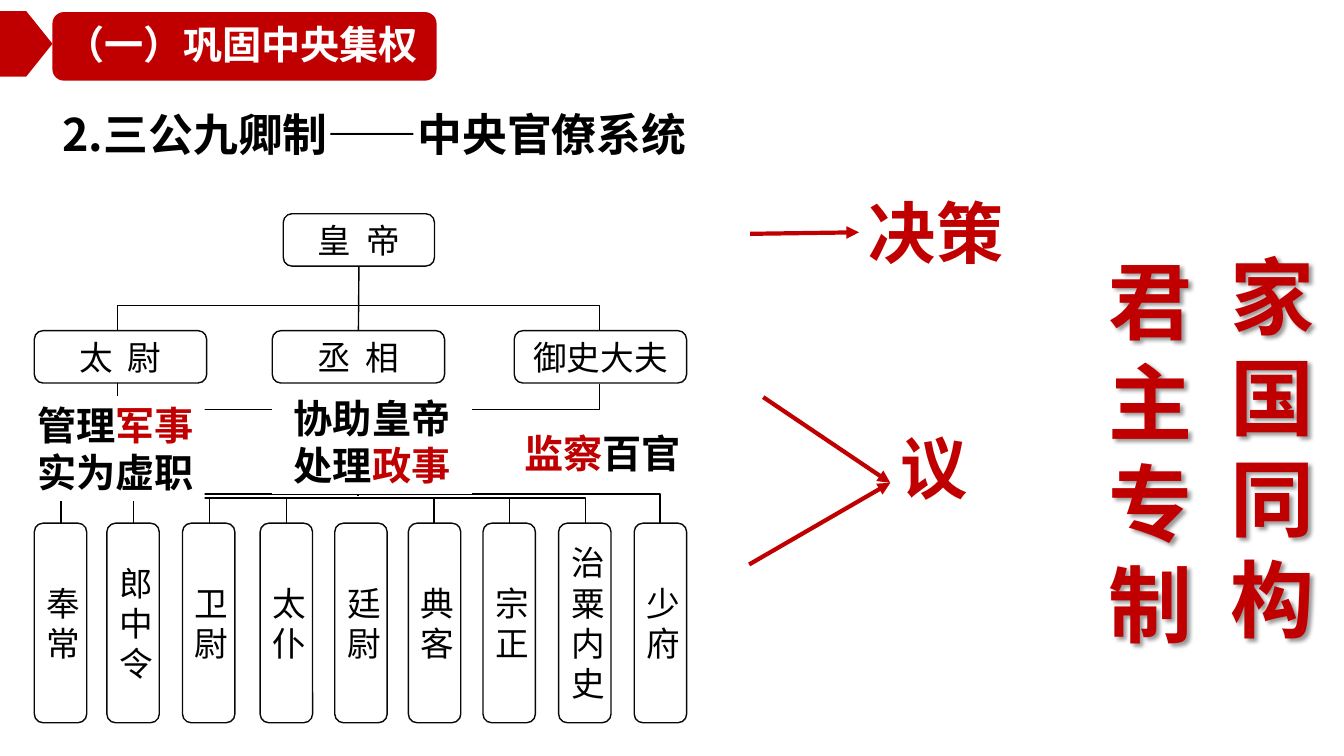
from dataclasses import dataclass

from lxml import etree
from pptx import Presentation
from pptx.dml.color import RGBColor
from pptx.enum.shapes import MSO_CONNECTOR, MSO_SHAPE
from pptx.enum.text import MSO_ANCHOR, MSO_AUTO_SIZE, PP_ALIGN
from pptx.oxml.ns import qn
from pptx.util import Pt

PX = 9144  # 100 px to the inch
FONT = "Noto Sans CJK SC"
COLORS = {"red": "C00000", "black": "000000", "white": "FFFFFF",
          "edge": "080808", "shade": "000000"}
STRAIGHT, ELBOW = MSO_CONNECTOR.STRAIGHT, MSO_CONNECTOR.ELBOW
ROUND, RECT, ARROW = MSO_SHAPE.ROUNDED_RECTANGLE, MSO_SHAPE.RECTANGLE, MSO_SHAPE.PENTAGON
LEFT, CENTER = PP_ALIGN.LEFT, PP_ALIGN.CENTER
TOP, MIDDLE = MSO_ANCHOR.TOP, MSO_ANCHOR.MIDDLE
NO_FIT = MSO_AUTO_SIZE.NONE
NORTH, WEST, SOUTH = 0, 1, 2
TURN = 60000  # one degree


@dataclass
class Box:
    text: str
    x: int
    y: int
    w: int
    h: int

    def area(self) -> list[int]:
        return [v * PX for v in (self.x, self.y, self.w, self.h)]


@dataclass
class Duty(Box):
    align: int = LEFT
    wrap: bool = False


@dataclass
class Label(Box):
    size: int = 48
    align: int = LEFT
    tall: bool = False


@dataclass
class Fork:
    """A bar at height y with a leg at each end, down or up to foot."""
    left: int
    right: int
    y: int
    foot: int
    weight: float


def tint(name: str) -> RGBColor:
    return RGBColor.from_string(COLORS[name])


def write(shape, text: str, *, size: int, color: str = "black", bold: bool = True,
          align=LEFT, anchor=TOP, wrap: bool = True) -> None:
    """Fill a shape with text; parts between asterisks turn red."""
    frame = shape.text_frame
    frame.word_wrap = wrap
    frame.auto_size = NO_FIT
    frame.vertical_anchor = anchor
    for i, row in enumerate(text.split("\n")):
        para = frame.add_paragraph() if i else frame.paragraphs[0]
        para.alignment = align
        for j, part in enumerate(row.split("*")):
            if not part:
                continue
            run = para.add_run()
            run.text = part
            font = run.font
            font.size, font.bold, font.name = Pt(size), bold, FONT
            font.color.rgb = tint("red" if j % 2 else color)
            etree.SubElement(font._element, qn("a:ea"), typeface=FONT)


def block(slide, box: Box, kind, fill: str, edge: str = ""):
    shape = slide.shapes.add_shape(kind, *box.area())
    shape.shadow.inherit = False
    shape.fill.solid()
    shape.fill.fore_color.rgb = tint(fill)
    if edge:
        shape.line.color.rgb = tint(edge)
        shape.line.width = Pt(1)
    else:
        shape.line.fill.background()
    return shape


def shade(shape) -> None:
    glow = etree.SubElement(shape._element.spPr, qn("a:effectLst"))
    drop = etree.SubElement(glow, qn("a:outerShdw"), blurRad="38100",
                            dist="25400", dir="2700000")
    hue = etree.SubElement(drop, qn("a:srgbClr"), val=COLORS["shade"])
    etree.SubElement(hue, qn("a:alpha"), val="40000")


def link(slide, start: tuple[int, int], end: tuple[int, int], color: str = "black",
         weight: float = 1, head: bool = False, kind=STRAIGHT):
    line = slide.shapes.add_connector(kind, *[v * PX for v in start + end])
    line.line.color.rgb = tint(color)
    line.line.width = Pt(weight)
    if head:
        etree.SubElement(line.line._get_or_add_ln(), qn("a:tailEnd"), type="triangle")
    etree.SubElement(line._element.spPr, qn("a:effectLst"))
    return line


def branch(slide, fork: Fork) -> None:
    """Draw a fork as a thin elbow, one px wide, turned a quarter."""
    mid, half = (fork.left + fork.right) // 2, (fork.right - fork.left) // 2
    line = link(slide, (mid, fork.foot - half), (mid + 1, fork.foot + half),
                weight=fork.weight, kind=ELBOW)
    props = line._element.spPr
    frame = props.find(qn("a:xfrm"))
    below = fork.y > fork.foot
    frame.set("rot", str((90 if below else 270) * TURN))
    if below:
        frame.set("flipV", "1")
    shape = props.find(qn("a:prstGeom"))
    guides = shape.find(qn("a:avLst"))
    if guides is None:
        guides = etree.SubElement(shape, qn("a:avLst"))
    reach = abs(fork.y - fork.foot) * 100000
    etree.SubElement(guides, qn("a:gd"), name="adj1", fmla=f"val {reach}")


KING = Box("皇  帝", 281, 212, 150, 52)
LORDS = [Box(name, x, 328, 171, 52)
         for name, x in (("太  尉", 34), ("丞  相", 270), ("御史大夫", 510))]
CLERKS = [Box(name, x, 519, 52, 198) for name, x in (
    ("奉\n常", 34), ("郎中令", 106), ("卫尉", 181), ("太仆", 258), ("廷尉", 332),
    ("典客", 405), ("宗正", 479), ("治粟内史", 554), ("少府", 629))]
STEM = 355
FORKS = [
    Fork(116, 594, 302, 328, 1),
    Fork(116, 594, 407, 380, 0.5),
    Fork(60, 655, 489, 519, 1),
    Fork(132, 580, 493, 519, 1),
    Fork(207, 505, 493, 519, 0.5),
    Fork(284, 431, 493, 519, 1),
]
DUTIES = [
    Duty("协助皇帝\n处理*政事*", 270, 386, 198, 104, CENTER, True),
    Duty("*监察*百官", 510, 421, 176, 57),
    Duty("管理*军事*\n实为虚职", 27, 393, 176, 104),
]
LABELS = [
    Label("决策", 852, 185, 154, 91),
    Label("议", 883, 418, 87, 91),
    Label("君主专制", 1074, 243, 135, 414, 60, CENTER, True),
    Label("家国同构", 1195, 238, 135, 414, 60, CENTER, True),
]


def main() -> None:
    deck = Presentation()
    deck.slide_width, deck.slide_height = 1333 * PX, 750 * PX
    slide = deck.slides.add_slide(deck.slide_layouts[5])

    # Heading
    tag = Box("（一）巩固中央集权", 52, 12, 381, 68)
    write(block(slide, tag, ROUND, "red"), tag.text, size=28, color="white")
    block(slide, Box("", 0, 11, 52, 65), ARROW, "red")
    title = slide.shapes.title
    head = Box("2.三公九卿制——中央官僚系统", 52, 101, 645, 64)
    title.left, title.top, title.width, title.height = head.area()
    write(title, head.text, size=32)

    # Offices
    posts = {}
    for box in [KING, *LORDS, *CLERKS]:
        shape = block(slide, box, ROUND, "white", "edge")
        write(shape, box.text, size=24, bold=False, align=CENTER, anchor=MIDDLE)
        posts[box.text] = shape

    # Tree lines
    stem = link(slide, (STEM, 264), (STEM, 328))
    stem.begin_connect(posts["皇  帝"], SOUTH)
    stem.end_connect(posts["丞  相"], NORTH)
    for fork in FORKS:
        branch(slide, fork)
    link(slide, (STEM, 492), (STEM, 408))

    # Duties
    for duty in DUTIES:
        write(block(slide, duty, RECT, "white"), duty.text, size=28,
              align=duty.align, wrap=duty.wrap)

    # Roles and summary
    roles = {}
    for label in LABELS:
        text = slide.shapes.add_textbox(*label.area())
        write(text, label.text, size=label.size, color="red", align=label.align,
              wrap=label.tall)
        if label.tall:
            shade(text)
        roles[label.text] = text

    # Arrows
    rule = link(slide, (744, 232), (852, 231), "red", 3, True)
    rule.end_connect(roles["决策"], WEST)
    for start in ((757, 394), (743, 560)):
        link(slide, start, (883, 479), "red", 3, True)

    deck.save("out.pptx")


if __name__ == "__main__":
    main()
